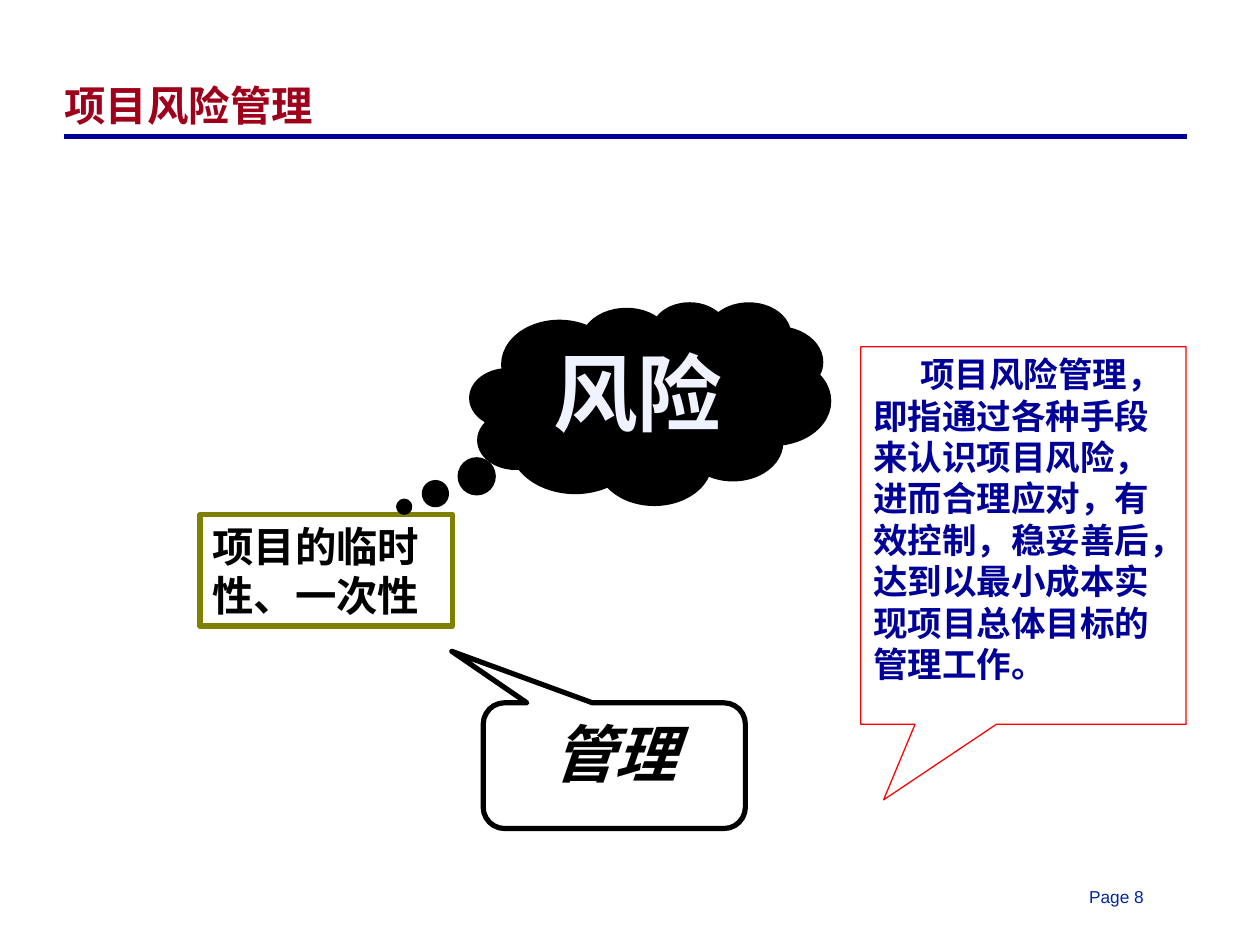
from dataclasses import dataclass

from lxml import etree
from pptx import Presentation
from pptx.dml.color import RGBColor
from pptx.enum.shapes import MSO_CONNECTOR, MSO_SHAPE
from pptx.enum.text import MSO_ANCHOR, PP_ALIGN
from pptx.oxml.ns import qn
from pptx.util import Cm, Pt

RECT = MSO_SHAPE.RECTANGLE
CLOUD = MSO_SHAPE.CLOUD_CALLOUT
ROUND_CALLOUT = MSO_SHAPE.ROUNDED_RECTANGULAR_CALLOUT
RECT_CALLOUT = MSO_SHAPE.RECTANGULAR_CALLOUT
STRAIGHT = MSO_CONNECTOR.STRAIGHT
TOP, BOTTOM = MSO_ANCHOR.TOP, MSO_ANCHOR.BOTTOM
LEFT, CENTER = PP_ALIGN.LEFT, PP_ALIGN.CENTER


@dataclass(frozen=True)
class Theme:
    """Colours, fonts and sizes of the slide."""
    navy: str = "000099"
    title: str = "9E001B"
    page: str = "00279F"
    olive: str = "808000"
    black: str = "000000"
    pale: str = "EFF3FF"
    red: str = "FF0000"
    latin: str = "Times New Roman"
    sans: str = "Arial"
    cjk: str = "Noto Sans CJK SC"
    page_size: float = 10
    body_size: float = 20
    head_size: float = 24
    manage_size: float = 36
    risk_size: float = 49
    thin: float = 0.75
    thick: float = 3


THEME = Theme()


def write(sp, text, *, size, color, font=THEME.latin, bold=True, italic=False,
          align=LEFT, anchor=TOP, spacing=None, indent=0):
    """Put one formatted paragraph into a shape."""
    tf = sp.text_frame
    tf.word_wrap = True
    tf.vertical_anchor = anchor
    tf.margin_left = tf.margin_right = Cm(0.25)
    tf.margin_top = tf.margin_bottom = Cm(0.13)
    p = tf.paragraphs[0]
    p.alignment = align
    if spacing:
        p.line_spacing = spacing
    if indent:
        p._p.get_or_add_pPr().set("indent", str(Cm(indent)))
    r = p.add_run()
    r.text = text
    r.font.name, r.font.size = font, Pt(size)
    r.font.bold, r.font.italic = bold, italic
    r.font.color.rgb = RGBColor.from_string(color)
    ea = etree.SubElement(r._r.get_or_add_rPr(), qn("a:ea"))
    ea.set("typeface", THEME.cjk)


def add_box(s, kind, box, *, line, width, fill=None, adjust=()):
    """Add an outlined preset shape in the given box."""
    sp = s.shapes.add_shape(kind, *map(Cm, box))
    sp.shadow.inherit = False
    if fill:
        sp.fill.solid()
        sp.fill.fore_color.rgb = RGBColor.from_string(fill)
    else:
        sp.fill.background()
    sp.line.color.rgb = RGBColor.from_string(line)
    sp.line.width = Pt(width)
    for i, value in enumerate(adjust):
        sp.adjustments[i] = value
    return sp


def add_header(s, box):
    """Place the title with a rule beneath it."""
    x, y, w, h = box
    sp = s.shapes.add_textbox(Cm(x - 0.23), Cm(y), Cm(w), Cm(h))
    write(sp, "项目风险管理", size=THEME.head_size, color=THEME.title,
          font=THEME.cjk, anchor=BOTTOM, spacing=0.87)
    rule = s.shapes.add_connector(STRAIGHT, Cm(x), Cm(y + h), Cm(x + w), Cm(y + h))
    rule.line.color.rgb = RGBColor.from_string(THEME.navy)
    rule.line.width = Pt(THEME.thick)
    etree.SubElement(rule._element.spPr, qn("a:effectLst"))


def add_risk_diagram(s, box):
    """Place the project trait, the risk cloud and the management callout."""
    x, y, w, h = box
    sp = add_box(s, RECT, (x, y + 4.3, 5.16, 2.28),
                 line=THEME.olive, width=THEME.thick)
    write(sp, "项目的临时性、一次性", size=THEME.head_size, color=THEME.black,
          spacing=Pt(THEME.head_size * 1.2))
    sp = add_box(s, CLOUD, (x + w - 7.29, y, 7.29, 4.06), line=THEME.black,
                 width=THEME.thick, fill=THEME.black, adjust=(-0.69, 0.52))
    write(sp, "风险", size=THEME.risk_size, color=THEME.pale, align=CENTER,
          spacing=Pt(THEME.risk_size * 1.2))
    sp = add_box(s, ROUND_CALLOUT, (x + 5.79, y + h - 2.57, 5.36, 2.57),
                 line=THEME.black, width=THEME.thick, adjust=(-0.62, -0.91, 0.17))
    write(sp, "管理", size=THEME.manage_size, color=THEME.black, italic=True,
          align=CENTER, spacing=Pt(THEME.manage_size * 1.2))


def add_definition(s, box):
    """Place the callout that defines risk management."""
    sp = add_box(s, RECT_CALLOUT, box, line=THEME.red, width=THEME.thin,
                 adjust=(-0.43, 0.7))
    write(sp, "项目风险管理，即指通过各种手段来认识项目风险，进而合理应对，"
              "有效控制，稳妥善后，达到以最小成本实现项目总体目标的管理工作。",
          size=THEME.body_size, color=THEME.navy, indent=0.96,
          spacing=Pt(THEME.body_size * 1.2))


def add_page_number(s, box):
    """Place the page label."""
    sp = s.shapes.add_textbox(*map(Cm, box))
    write(sp, "Page 8", size=THEME.page_size, color=THEME.page,
          font=THEME.sans, bold=False)


def main():
    """Build and save the slide."""
    prs = Presentation()
    prs.slide_width, prs.slide_height = Cm(25.76), Cm(19.3)
    s = prs.slides.add_slide(prs.slide_layouts[6])
    add_header(s, (1.3, 0.84, 22.96, 1.95))
    add_risk_diagram(s, (4.09, 6.22, 12.85, 10.72))
    add_definition(s, (17.6, 7.09, 6.65, 7.72))
    add_page_number(s, (22.02, 17.98, 1.91, 0.69))
    prs.save("out.pptx")


if __name__ == "__main__":
    main()
